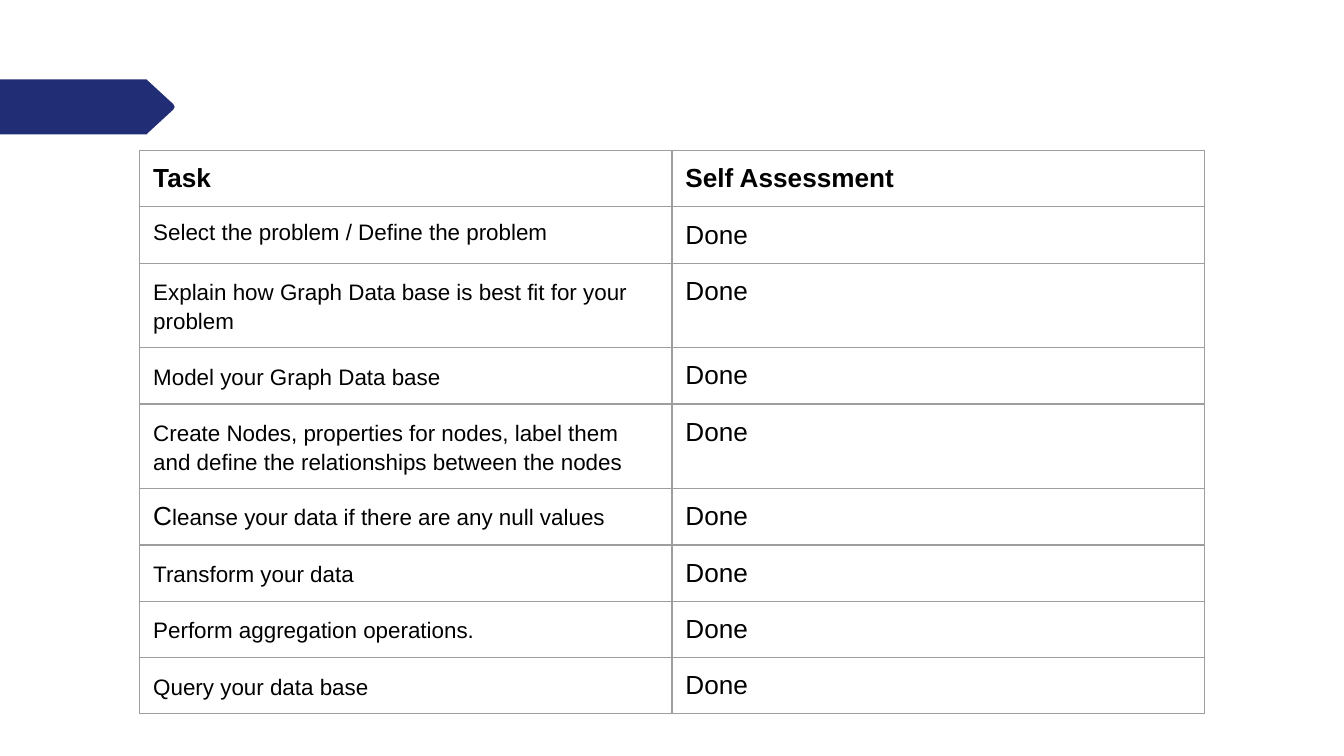
import pptx
import pptx.dml.color
import pptx.oxml.ns
import pptx.util
from lxml import etree

Inches = pptx.util.Inches
Pt = pptx.util.Pt
qn = pptx.oxml.ns.qn
RGBColor = pptx.dml.color.RGBColor

NAVY = RGBColor(0x21, 0x2D, 0x74)
GRAY = RGBColor(0x9E, 0x9E, 0x9E)
BLACK = RGBColor(0, 0, 0)

# Each task: its runs as (text, size), then its line spacing.
TASKS = [
    ([("Select the problem / Define the problem", 12)], None),
    ([("Explain how Graph Data base is best fit for your problem", 12)], 1.15),
    ([("Model your Graph Data base", 12)], 1.15),
    ([("Create Nodes, properties for nodes, label them and define "
       "the relationships between the nodes", 12)], 1.15),
    ([("C", 14), ("leanse your data if there are any null values", 12)], None),
    ([("Transform your data", 12)], 1.15),
    ([("Perform aggregation operations.", 12)], 1.15),
    ([("Query your data base", 12)], 1.15),
]
TALL = (2, 4)  # rows whose task takes two lines


def write(par, text, size=14, bold=False, color=BLACK, face="Arial"):
    run = par.add_run()
    run.text = text
    font = run.font
    font.name, font.size, font.bold = face, Pt(size), bold
    font.color.rgb = color


def outline(cell, color=GRAY, width=0.75):
    props = cell._tc.get_or_add_tcPr()
    for side in ("a:lnL", "a:lnR", "a:lnT", "a:lnB"):
        line = etree.SubElement(props, qn(side), w=str(int(Pt(width))))
        fill = etree.SubElement(line, qn("a:solidFill"))
        etree.SubElement(fill, qn("a:srgbClr"), val=str(color))


def add_tag(slide, left, top, width, height):
    """Draw the pointed tag with a slightly blunt tip."""
    neck = width - 0.2
    half = [(0, 0), (neck - 0.01, 0), (neck, 0.01),
            (width - 0.01, height / 2 - 0.02), (width, height / 2)]
    points = half + [(x, height - y) for x, y in reversed(half[:-1])]
    pen = slide.shapes.build_freeform(0, 0, scale=Inches(1) / 1000)
    spots = [(round(x * 1000), round(y * 1000)) for x, y in points]
    pen.add_line_segments(spots[1:], close=True)
    tag = pen.convert_to_shape(Inches(left), Inches(top))
    tag.shadow.inherit = False
    tag.fill.solid()
    tag.fill.fore_color.rgb = NAVY
    tag.line.fill.background()


def add_tasks(slide, left, top, width, height):
    count = len(TASKS) + 1
    table = slide.shapes.add_table(
        count, 2, Inches(left), Inches(top), Inches(width), Inches(height)
    ).table
    table.first_row = table.horz_banding = False
    for col in table.columns:
        col.width = Inches(width / 2)
    # A two-line row is half as tall again as a one-line row.
    unit = height / (count + len(TALL) / 2)
    for i, row in enumerate(table.rows):
        row.height = Inches(unit * (1.5 if i in TALL else 1))
        for cell in row.cells:
            cell.margin_left = cell.margin_right = Inches(0.1)
            cell.margin_top = cell.margin_bottom = Inches(0.1)
            outline(cell)
            cell.fill.background()

    def par(row, col):
        return table.cell(row, col).text_frame.paragraphs[0]

    for col, head in enumerate(("Task", "Self Assessment")):
        write(par(0, col), head, bold=True)
    for i, (runs, space) in enumerate(TASKS, 1):
        task = par(i, 0)
        if space:
            task.line_spacing = space
        for text, size in runs:
            write(task, text, size=size)
        write(par(i, 1), "Done")


def main():
    deck = pptx.Presentation()
    deck.slide_width = Inches(10)
    deck.slide_height = deck.slide_width * 9 // 16
    slide = deck.slides.add_slide(deck.slide_layouts[6])
    add_tag(slide, 0, 0.59, 1.3, 0.41)
    add_tasks(slide, 1.04, 1.12, 7.92, 4.19)
    deck.save("out.pptx")


if __name__ == "__main__":
    main()
